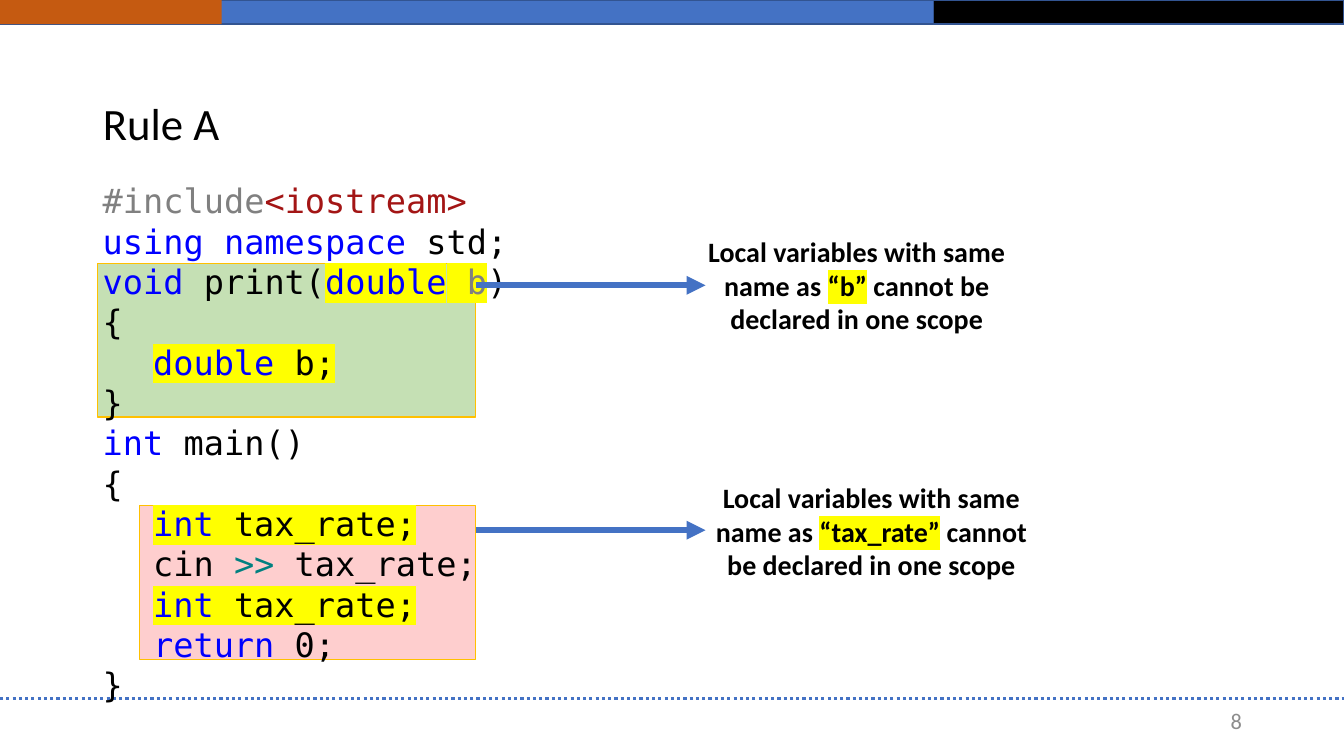
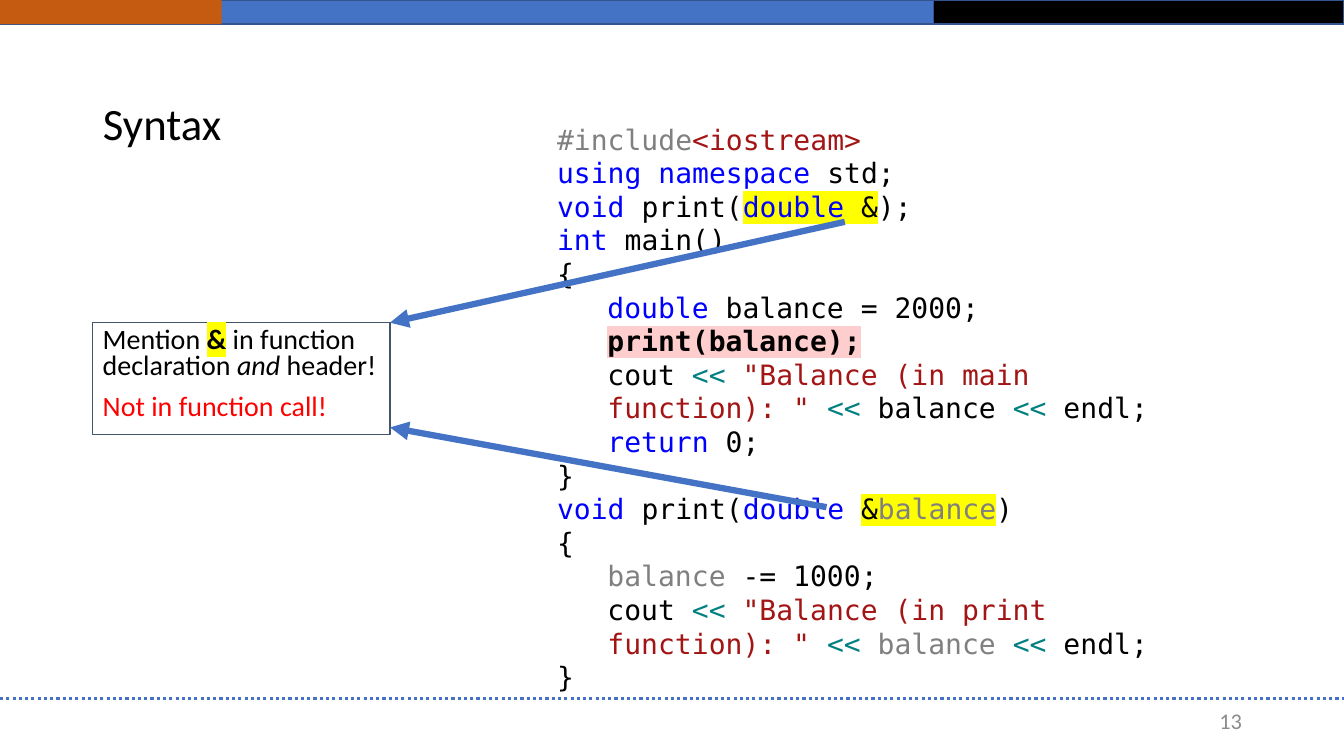
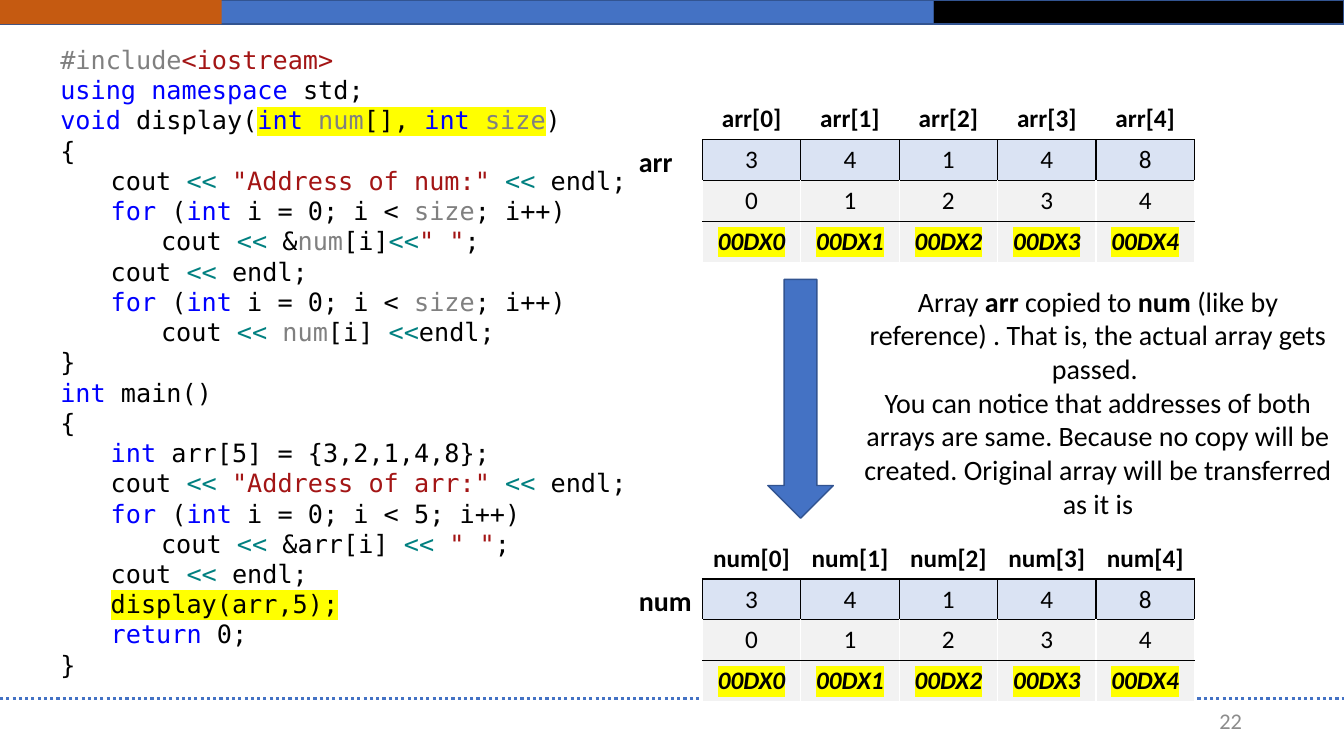
from collections import namedtuple
from functools import partial

from lxml.etree import SubElement
from pptx import Presentation
from pptx.dml.color import RGBColor
from pptx.enum.dml import MSO_LINE as Dash
from pptx.enum.shapes import MSO_CONNECTOR as Link, MSO_SHAPE as Preset
from pptx.enum.text import MSO_ANCHOR as Anchor, MSO_AUTO_SIZE as AutoSize, PP_ALIGN as Align
from pptx.oxml.ns import qn
from pptx.util import Cm, Pt

COLORS = {
    "black": "000000", "white": "FFFFFF", "blue": "4472C4", "edge": "325491",
    "orange": "C55A11", "gold": "FFC000", "green": "C5E0B4", "pink": "FECECE",
    "yellow": "FFFF00", "slate": "44546A", "number": "8C8C8C", "red": "FF0000",
    "value": "DAE3F3", "index": "F2F2F2",
    "keyword": "0000FF", "name": "808080", "string": "A31515", "operator": "008080",
}
BODY_FONT = "Calibri"
CODE_FONT = "DejaVu Sans Mono"
WIDTH, HEIGHT = 33.87, 19.05
BAND_HEIGHT = 0.61

Span = namedtuple("Span", "text color mark bold italic", defaults=("black", None, False, False))
Line = namedtuple("Line", "spans level")
key = partial(Span, color="keyword")
name = partial(Span, color="name")
quote = partial(Span, color="string")
op = partial(Span, color="operator")
strong = partial(Span, bold=True)
lit = partial(Span, mark="yellow")


def outer(*spans):
    return Line(spans, 0)


def inner(*spans):
    return Line(spans, 1)


def rgb(color):
    return RGBColor.from_string(COLORS[color])


def paint(parent, color):
    fill = SubElement(parent, qn("a:solidFill"))
    SubElement(fill, qn("a:srgbClr")).set("val", COLORS[color])


class Deck:
    def __init__(self):
        self.deck = Presentation()
        self.deck.slide_width, self.deck.slide_height = Cm(WIDTH), Cm(HEIGHT)
        self.page = None

    def add_page(self, number, title=None):
        layout = self.deck.slide_layouts[5 if title else 6]
        first = self.page is None
        self.page = self.deck.slides.add_slide(layout)
        if first:
            self.frame_master()
        if title:
            box = self.page.shapes.title
            box.left, box.top, box.width, box.height = map(Cm, (2.34, 2.11, 29.21, 2.13))
            box.text_frame.vertical_anchor = Anchor.MIDDLE
            self.add_lines(box.text_frame, [outer(title)], 32, spacing=0.9)
        self.text((23.93, 17.65, 7.62, 1.02), [outer(Span(number, "number"))], 16,
                  align=Align.RIGHT, anchor=Anchor.MIDDLE, grow=False)

    def frame_master(self):
        parts = [
            self.shape((0, 0, 23.52, BAND_HEIGHT), "blue", "edge", 1),
            self.shape((23.52, 0, 10.35, BAND_HEIGHT), "black", "edge", 1),
            self.shape((0, 0, 5.59, BAND_HEIGHT), "orange"),
            self.line((0, 17.6), (WIDTH, 17.6), 2.25, dash=Dash.ROUND_DOT),
        ]
        tree = self.deck.slide_master.shapes.element
        for number, part in enumerate(parts, 20):
            part.element.xpath(".//p:cNvPr")[0].set("id", str(number))
            tree.append(part.element)

    def shape(self, at, fill=None, edge=None, weight=0.75, preset=Preset.RECTANGLE):
        box = self.page.shapes.add_shape(preset, *map(Cm, at))
        box.shadow.inherit = False
        if fill:
            box.fill.solid()
            box.fill.fore_color.rgb = rgb(fill)
        else:
            box.fill.background()
        if edge:
            box.line.color.rgb = rgb(edge)
            box.line.width = Pt(weight)
        else:
            box.line.fill.background()
        return box

    def line(self, start, end, weight=4.5, dash=None, arrow=False):
        link = self.page.shapes.add_connector(Link.STRAIGHT, *map(Cm, start + end))
        link.line.color.rgb = rgb("blue")
        link.line.width = Pt(weight)
        if dash:
            link.line.dash_style = dash
        properties = link.element.spPr
        if arrow:
            SubElement(properties.find(qn("a:ln")), qn("a:tailEnd")).set("type", "triangle")
        SubElement(properties, qn("a:effectLst"))
        return link

    def add_lines(self, frame, lines, size, font=BODY_FONT, align=Align.LEFT, spacing=None,
                  before=None):
        for index, line in enumerate(lines):
            para = frame.paragraphs[0] if index == 0 else frame.add_paragraph()
            para.alignment = align
            if spacing:
                para.line_spacing = spacing
            if before:
                para.space_before = Pt(before)
            if line.level:
                para.level = line.level
                properties = para._p.get_or_add_pPr()
                properties.set("marL", str(Cm(1.27 * line.level)))
                properties.set("indent", "0")
            for piece in line.spans:
                self.add_span(para, Span(piece) if isinstance(piece, str) else piece, size, font)

    def add_span(self, para, piece, size, font):
        span = para.add_run()
        span.text = piece.text
        span.font.name, span.font.size = font, Pt(size)
        span.font.bold, span.font.italic = piece.bold, piece.italic
        span.font.color.rgb = rgb(piece.color)
        if piece.mark:
            properties = span._r.get_or_add_rPr()
            mark = SubElement(properties, qn("a:highlight"))
            SubElement(mark, qn("a:srgbClr")).set("val", COLORS[piece.mark])
            properties.find(qn("a:solidFill")).addnext(mark)

    def text(self, at, lines, size=20, anchor=Anchor.TOP, wrap=True, grow=True, **style):
        frame = self.page.shapes.add_textbox(*map(Cm, at)).text_frame
        frame.word_wrap = wrap
        frame.auto_size = AutoSize.SHAPE_TO_FIT_TEXT if grow else AutoSize.NONE
        frame.vertical_anchor = anchor
        self.add_lines(frame, lines, size, **style)

    def code(self, at, lines, size):
        self.text(at, lines, size, font=CODE_FONT)

    def note(self, at, lines):
        box = self.shape(at, edge="slate")
        box.text_frame.vertical_anchor = Anchor.TOP
        self.add_lines(box.text_frame, lines, 20, spacing=0.8, before=10)

    def array_table(self, label, top, values):
        count = len(values)
        rows = [
            ([strong(f"{label}[{i}]") for i in range(count)], "white",
             ("white", "white", "white", "black")),
            ([Span(value) for value in values], "value", ("black",) * 4),
            ([Span(str(i)) for i in range(count)], "index",
             ("white", "white", "black", "black")),
            ([lit(f"00DX{i}", bold=True, italic=True) for i in range(count)], "index",
             ("white", "white", "black", "white")),
        ]
        size = (2.48 * count, 1.03 * len(rows))
        table = self.page.shapes.add_table(len(rows), count, *map(Cm, (17.7, top) + size)).table
        table.first_row = table.horz_banding = False
        for row, (spans, fill, edges) in enumerate(rows):
            for column, span in enumerate(spans):
                cell = table.cell(row, column)
                self.add_lines(cell.text_frame, [outer(span)], 18, align=Align.CENTER)
                self.edge_cell(cell, edges)
                cell.fill.solid()
                cell.fill.fore_color.rgb = rgb(fill)

    def edge_cell(self, cell, edges):
        properties = cell._tc.get_or_add_tcPr()
        for side, color in zip("LRTB", edges):
            edge = SubElement(properties, qn(f"a:ln{side}"))
            edge.set("w", str(Pt(1)))
            paint(edge, color)


def cout(text):
    return inner("cout ", op("<< "), quote(f'"{text}" '), op("<< "), "endl;")


def count_to(limit):
    return inner(key("for"), " (", key("int"), " i = 0; i < ", limit, "; i++)")


opening = [outer(name("#include"), quote("<iostream>")),
           outer(key("using namespace"), " std;")]
main_start = [outer(key("int"), " main()"), outer("{")]
brace, close = outer("{"), outer("}")
finish = [inner(key("return"), " 0;"), close]
end_line = inner("cout ", op("<< "), "endl;")

deck = Deck()

deck.add_page("8", "Rule A")
deck.shape((3.51, 12.75, 8.48, 3.86), "pink", "gold")
deck.shape((2.46, 6.65, 9.53, 3.86), "green", "gold")
tax_rate = inner(key("int", mark="yellow"), lit(" tax_rate;"))
deck.code((2.34, 4.42, 21.44, 14.63), [
    *opening,
    outer(key("void"), " print(", key("double", mark="yellow"), lit(" "),
          name("b", mark="yellow"), ")"),
    brace,
    outer(key("\t"), key("double", mark="yellow"), lit(" b;")),
    close,
    *main_start,
    tax_rate,
    inner("cin ", op(">> "), "tax_rate;"),
    tax_rate,
    *finish,
], 24)
callouts = [("b", 7.19, (17.35, 5.79, 8.48, 2.82)),
            ("tax_rate", 13.36, (17.5, 11.99, 8.92, 2.82))]
for variable, level, at in callouts:
    deck.line((11.99, level), (17.78, level), arrow=True)
    deck.text(at, [outer(strong("Local variables with same name as "),
                         strong(f"“{variable}”", mark="yellow"),
                         strong(" cannot be declared in one scope"))], align=Align.CENTER)

deck.add_page("13", "Syntax")
deck.code((13.79, 2.95, 16.94, 14.71), [
    *opening,
    outer(key("void"), " print(", key("double", mark="yellow"), lit(" &"), ");"),
    *main_start,
    inner(key("double"), " balance = 2000;"),
    inner(strong("print(balance);", mark="pink")),
    inner("cout ", op("<< "), quote('"Balance (in main function): " '), op("<<"),
          " balance ", op("<< "), "endl;"),
    *finish,
    outer(key("void"), " print(", key("double "), lit("&"),
          name("balance", mark="yellow"), ")"),
    brace,
    inner(name("balance"), " -= 1000;"),
    inner("cout ", op("<< "), quote('"Balance (in print function): " '), op("<< "),
          name("balance "), op("<< "), "endl;"),
    close,
], 20)
deck.line((21.29, 5.59), (9.83, 8.13), arrow=True)
deck.note((2.34, 8.13, 7.49, 2.82), [
    outer("Mention ", lit("&", bold=True), " in function declaration ",
          Span("and", italic=True), " header!"),
    outer(Span("Not in function call!", "red")),
])
deck.line((20.83, 12.78), (9.83, 10.77), arrow=True)

deck.add_page("22")
deck.code((1.27, 0.99, 24.87, 17.2), [
    *opening,
    outer(key("void"), " display(", key("int", mark="yellow"), lit(" "),
          name("num", mark="yellow"), lit("[], "), key("int", mark="yellow"), lit(" "),
          name("size", mark="yellow"), ")"),
    brace,
    cout("Address of num:"),
    count_to(name("size")),
    inner("\tcout ", op("<<"), " &", name("num"), "[i]", op("<<"), quote('" "'), ";"),
    end_line,
    count_to(name("size")),
    inner("\tcout ", op("<< "), name("num"), "[i] ", op("<<"), "endl;"),
    close,
    *main_start,
    inner(key("int "), "arr[5] = {3,2,1,4,8};"),
    cout("Address of arr:"),
    count_to("5"),
    inner("\tcout ", op("<<"), " &arr[i] ", op("<< "), quote('" "'), ";"),
    end_line,
    inner(lit("display(arr,5);")),
    *finish,
], 18)
for label, top, width in [("arr", 2.49, 1.37), ("num", 13.56, 1.85)]:
    deck.array_table(label, top, "34148")
    deck.text((15.85, top + 1.03, width, 1.12), [outer(strong(label))], wrap=False)
deck.shape((19.35, 7.04, 1.65, 6.02), "blue", "edge", 1, Preset.DOWN_ARROW)
deck.text((21.46, 7.04, 12.42, 6.25), [
    outer("Array ", strong("arr "), "copied to ", strong("num "),
          "(like by reference) . That is, the actual array gets passed. "),
    outer("You can notice that addresses of both arrays are same. Because no copy will be "
          "created. Original array will be transferred as it is"),
], align=Align.CENTER)

deck.deck.save("out.pptx")
